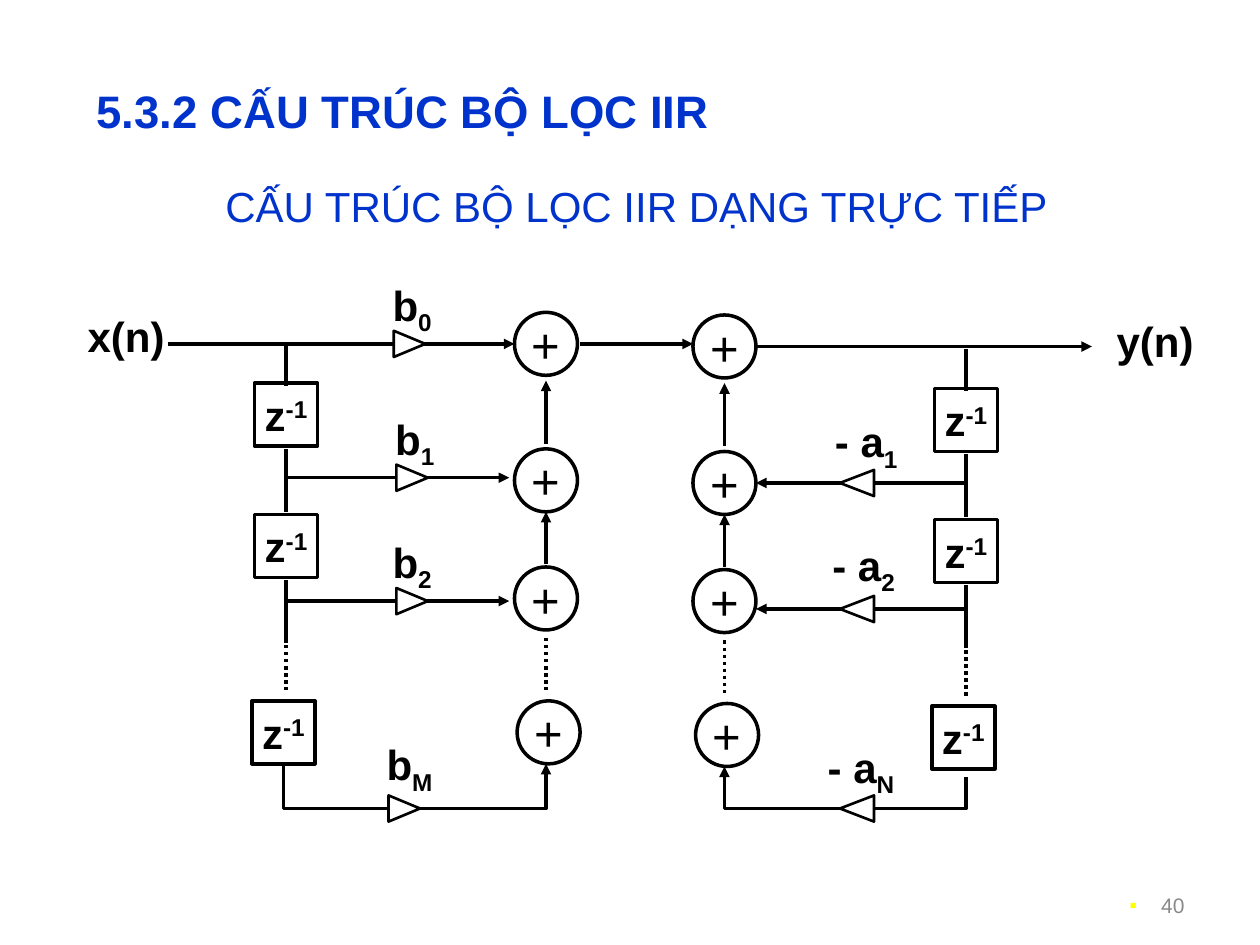
import pptx
import pptx.util
import pptx.dml.color
import pptx.enum.dml
import pptx.enum.shapes
import pptx.enum.text
import pptx.oxml
import pptx.oxml.ns

BLACK = pptx.dml.color.RGBColor(0x00, 0x00, 0x00)
WHITE = pptx.dml.color.RGBColor(0xFF, 0xFF, 0xFF)
BLUE = pptx.dml.color.RGBColor(0x00, 0x33, 0xCC)
GRAY = pptx.dml.color.RGBColor(0x89, 0x89, 0x89)
COLUMNS = 480
CELL = pptx.util.Inches(10) // COLUMNS
NODE = 24
SHAPE = pptx.enum.shapes.MSO_SHAPE
ALIGN = pptx.enum.text.PP_ALIGN
ANCHOR = pptx.enum.text.MSO_ANCHOR
DOTTED = pptx.enum.dml.MSO_LINE.ROUND_DOT

SUM_TOPS = (0, 52, 97, 148)
DELAY_TOPS = (27, 77, 148)
DELAY_WIRES = ((12, 28), (52, 76), (102, 126))
SUM_WIRES = ((96, 76), (50, 26))
DOTS = (124, 144)


def cells(*values):
    """Turn grid cells into lengths."""
    return [v * CELL for v in values]


def add_xml(parent, tag, **attrs):
    """Append a drawing element and return it."""
    el = pptx.oxml.parse_xml(f'<a:{tag} {pptx.oxml.ns.nsdecls("a")}/>')
    for name, value in attrs.items():
        el.set(name, value)
    parent.append(el)
    return el


def style_line(sp, width=2, arrow=False):
    """Give a shape or connector a black line, with an arrowhead if asked."""
    sp.line.color.rgb = BLACK
    sp.line.width = pptx.util.Pt(width)
    if arrow:
        ln = sp.element.find(".//" + pptx.oxml.ns.qn("a:ln"))
        add_xml(ln, "tailEnd", type="triangle")


def write(sp, runs, size, color=BLACK, bold=False, align=ALIGN.CENTER,
          anchor=ANCHOR.MIDDLE, wrap=True):
    """Write (text, baseline) runs into the first paragraph and return it."""
    tf = sp.text_frame
    tf.auto_size = pptx.enum.text.MSO_AUTO_SIZE.NONE
    tf.word_wrap = wrap
    tf.vertical_anchor = anchor
    p = tf.paragraphs[0]
    p.alignment = align
    for text, baseline in runs:
        r = p.add_run()
        r.text = text
        r.font.name = "Arial"
        r.font.size = pptx.util.Pt(size)
        r.font.bold = bold
        r.font.color.rgb = color
        if baseline:
            r.font._element.set("baseline", str(baseline * 1000))
    return p


def add_wire(s, x1, y1, x2, y2, arrow=False, dash=None):
    """Draw a straight wire between two grid points."""
    c = s.shapes.add_connector(pptx.enum.shapes.MSO_CONNECTOR.STRAIGHT,
                               *cells(x1, y1, x2, y2))
    if dash:
        c.line.dash_style = dash
    style_line(c, arrow=arrow)
    add_xml(c.element.spPr, "effectLst")


def add_path(s, points, closed):
    """Draw an outline through grid points."""
    fb = s.shapes.build_freeform(*points[0], scale=CELL)
    fb.add_line_segments(points[1:], close=closed)
    sp = fb.convert_to_shape()
    sp.shadow.inherit = False
    return sp


def add_node(s, kind, cx, top, runs, size, bold):
    """Draw an adder or delay centred on a grid column."""
    sp = s.shapes.add_shape(kind, *cells(cx - NODE / 2, top, NODE, NODE))
    sp.shadow.inherit = False
    sp.fill.background()
    style_line(sp)
    write(sp, runs, size, bold=bold, wrap=False)


def add_label(s, left, top, *runs):
    """Place a bold signal or coefficient label."""
    sp = s.shapes.add_textbox(*cells(left, top, 40, 27))
    write(sp, runs, 24, bold=True, anchor=ANCHOR.TOP)


def add_gain(s, left, y, width, flip):
    """Draw a gain triangle pointing along its wire."""
    back, tip = (left + width, left) if flip else (left, left + width)
    sp = add_path(s, [(back, y + 5), (back, y - 5), (tip, y)], True)
    sp.fill.solid()
    sp.fill.fore_color.rgb = WHITE
    style_line(sp, 1.5)


def add_ladder(s, box, flip, name, gains, taps, tap_span, drop, back):
    """Draw one half of the filter in a box of left, top and width."""
    left, top, width = box
    sum_x, delay_x = (left, left + width) if flip else (left + width, left)
    for i, y in enumerate(SUM_TOPS):
        nudge = int(i == len(SUM_TOPS) - 1)
        add_node(s, SHAPE.OVAL, sum_x + nudge, top + y, [("+", 0)], 28, False)
    for i, y in enumerate(DELAY_TOPS):
        nudge = int(i == len(DELAY_TOPS) - 1)
        add_node(s, SHAPE.RECTANGLE, delay_x - nudge, top + y + drop,
                 [("z", 0), ("-1", 30)], 24, True)
    for y1, y2 in SUM_WIRES:
        add_wire(s, sum_x, top + y1, sum_x, top + y2, arrow=True)
    for y1, y2 in DELAY_WIRES:
        add_wire(s, delay_x, top + y1 + drop, delay_x, top + y2 + drop)
    for x, shift in ((sum_x, 0), (delay_x, drop)):
        add_wire(s, x, top + DOTS[0] + shift, x, top + DOTS[1] + shift, dash=DOTTED)
    for y in taps:
        add_wire(s, left + tap_span[0], top + y, left + tap_span[1], top + y, arrow=True)
    back_x, back_top, back_bottom = back
    sp = add_path(s, [(left + back_x, top + back_top), (left + back_x, top + back_bottom),
                      (sum_x, top + back_bottom), (sum_x, top + 172)], False)
    sp.fill.background()
    style_line(sp, arrow=True)
    for sub, wire_y, label_x, label_y, gain_x in gains:
        add_label(s, left + label_x, top + label_y, (name, 0), (sub, -25))
        add_gain(s, left + gain_x, top + wire_y, 13 if flip else 12, flip)


def add_signal_path(s, top):
    """Draw the input, link and output wires with their signal names."""
    add_wire(s, 64, top, 196, top, arrow=True)
    add_wire(s, 221, top, 264, top, arrow=True)
    add_wire(s, 288, top + 1, 416, top + 1, arrow=True)
    add_label(s, 28, top - 15, ("x(n)", 0))
    add_label(s, 420, top - 13, ("y(n)", 0))


def add_headings(s):
    """Fill the title and place the subtitle."""
    title = s.shapes.title
    title.left, title.top, title.width, title.height = cells(32, 28, 324, 28)
    write(title, [("5.3.2 CẤU TRÚC BỘ LỌC IIR", 0)], 26, BLUE, True, ALIGN.LEFT)
    sp = s.shapes.add_textbox(*cells(74.5, 64.5, 336, 28))
    write(sp, [("CẤU TRÚC BỘ LỌC IIR DẠNG TRỰC TIẾP", 0)], 24, BLUE)


def add_page_number(s):
    """Place the bulleted page number at the lower right."""
    sp = s.shapes.add_textbox(*cells(344, 333.5, 112, 19))
    p = write(sp, [("40", 0)], 12, GRAY, align=ALIGN.RIGHT)
    p.line_spacing = 1.4
    p.space_before = pptx.util.Pt(3)
    pPr = p._p.get_or_add_pPr()
    indent = 12 * CELL
    pPr.set("marL", str(indent))
    pPr.set("indent", str(-indent))
    add_xml(add_xml(pPr, "buClr"), "srgbClr", val="FFFF00")
    add_xml(pPr, "buFont", typeface="Arial")
    add_xml(pPr, "buChar", char="▪")


def main():
    """Build and save the slide."""
    prs = pptx.Presentation()
    prs.slide_width, prs.slide_height = cells(COLUMNS, 360)
    s = prs.slides.add_slide(prs.slide_layouts[5])
    add_headings(s)
    add_signal_path(s, 131)
    add_ladder(s, (109, 119, 99), False, "b",
               [("0", 12, 28, -15, 41), ("1", 63, 29, 36, 42),
                ("2", 110, 28, 83, 42), ("M", 189, 27, 160, 39)],
               (63, 110), (-1, 85), 0, (-1, 172, 189))
    add_ladder(s, (276, 120, 92), True, "- a",
               [("1", 64, 34, 36, 44), ("2", 112, 33, 83, 44),
                ("N", 188, 32, 160, 44)],
               (64, 112), (92, 12), 1, (92, 176, 188))
    add_page_number(s)
    prs.save("out.pptx")


if __name__ == "__main__":
    main()
